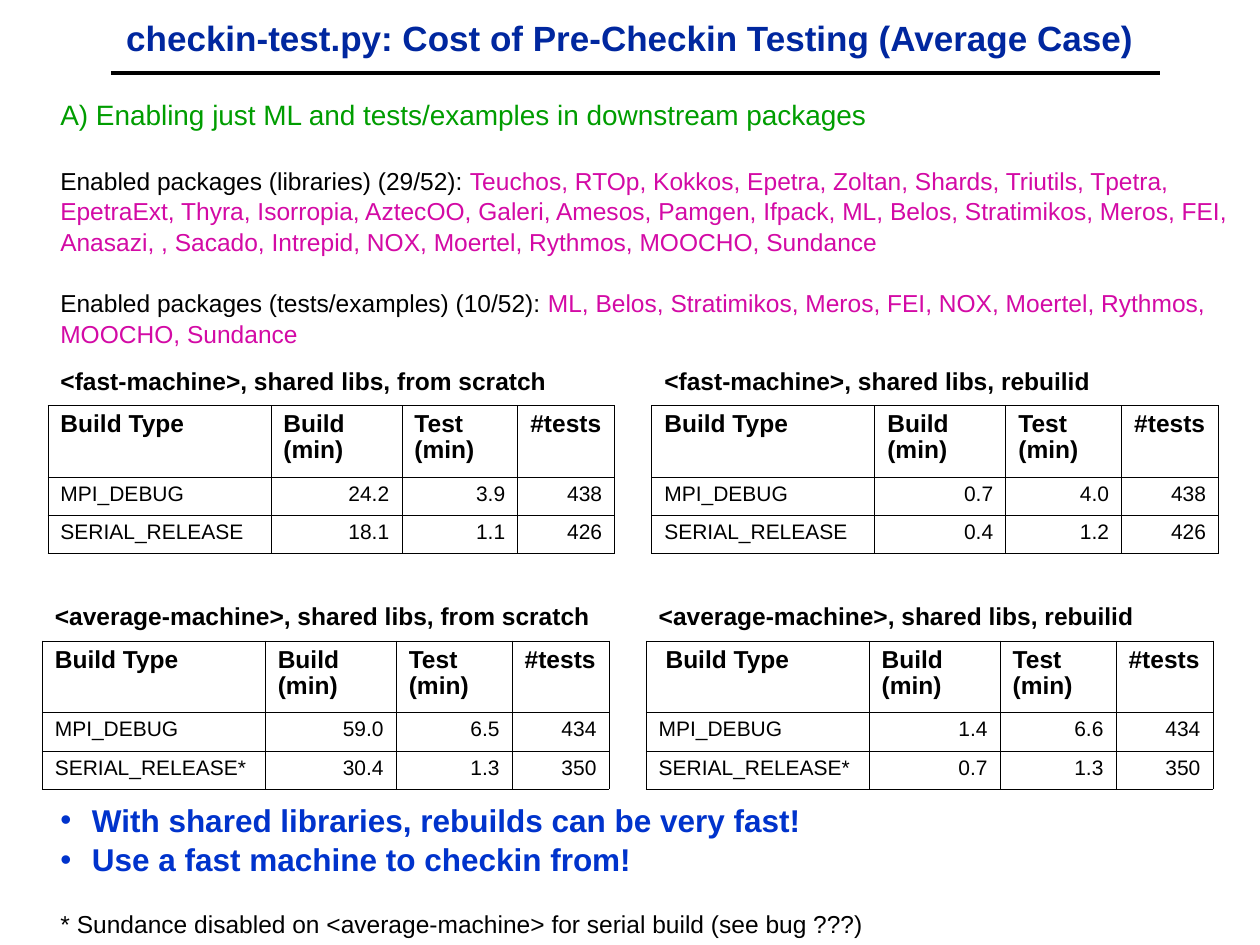
from dataclasses import dataclass

from lxml import etree
from pptx import Presentation
from pptx.dml.color import RGBColor
from pptx.enum.shapes import MSO_CONNECTOR
from pptx.enum.text import MSO_ANCHOR, MSO_AUTO_SIZE, PP_ALIGN
from pptx.oxml.ns import qn
from pptx.util import Emu, Inches, Pt

LEFT, CENTER, RIGHT = PP_ALIGN.LEFT, PP_ALIGN.CENTER, PP_ALIGN.RIGHT
TOP, MIDDLE = MSO_ANCHOR.TOP, MSO_ANCHOR.MIDDLE
NO_AUTOFIT = MSO_AUTO_SIZE.NONE
STRAIGHT = MSO_CONNECTOR.STRAIGHT

FONT = "Arial"
COLORS = {
    "title": "00279F",
    "case": "009D00",
    "packages": "D30AA5",
    "bullet": "0033CC",
    "text": "000000",
    "paper": "FFFFFF",
}
PAGE_WIDTH, PAGE_HEIGHT = Inches(10), Inches(7.5)
TEXT_SPACING, TABLE_SPACING = 1.05, 0.95

# Percent of the page width or height
COLUMN_WIDTHS = [17.7, 10.4, 9.2, 7.7]
ROW_HEIGHTS = [4.5, 7.6, 4.04, 4.04]
TABLE_GAP = 47.93
FAST_LEFT, FAST_TOP = 3.8, 38.4
AVERAGE_LEFT, AVERAGE_TOP = 3.35, 63.33
TEXT_LEFT = 3.8

HEADINGS = ["Build Type", "Build (min)", "Test (min)", "#tests"]


@dataclass
class Timing:
    caption: str
    left: float
    top: float
    rows: list[list[str]]
    first_heading: str = HEADINGS[0]


@dataclass
class Line:
    spans: list[tuple[str, str]]
    size: int
    bold: bool = False
    bulleted: bool = False
    space_before: float = 0


TIMINGS = [
    Timing("<fast-machine>, shared libs, from scratch", FAST_LEFT, FAST_TOP,
           [["MPI_DEBUG", "24.2", "3.9", "438"],
            ["SERIAL_RELEASE", "18.1", "1.1", "426"]]),
    Timing("<fast-machine>, shared libs, rebuilid", FAST_LEFT + TABLE_GAP, FAST_TOP,
           [["MPI_DEBUG", "0.7", "4.0", "438"],
            ["SERIAL_RELEASE", "0.4", "1.2", "426"]]),
    Timing("<average-machine>, shared libs, from scratch", AVERAGE_LEFT, AVERAGE_TOP,
           [["MPI_DEBUG", "59.0", "6.5", "434"],
            ["SERIAL_RELEASE*", "30.4", "1.3", "350"]]),
    Timing("<average-machine>, shared libs, rebuilid", AVERAGE_LEFT + TABLE_GAP, AVERAGE_TOP,
           [["MPI_DEBUG", "1.4", "6.6", "434"],
            ["SERIAL_RELEASE*", "0.7", "1.3", "350"]],
           first_heading=" Build Type"),
]
INTRO = [
    Line([("A) Enabling just ML and tests/examples in downstream packages", "case")], 16),
    Line([("Enabled packages (libraries) (29/52): ", "text"),
          ("Teuchos, RTOp, Kokkos, Epetra, Zoltan, Shards, Triutils, Tpetra, EpetraExt, "
           "Thyra, Isorropia, AztecOO, Galeri, Amesos, Pamgen, Ifpack, ML, Belos, "
           "Stratimikos, Meros, FEI, Anasazi, , Sacado, Intrepid, NOX, Moertel, Rythmos, "
           "MOOCHO, Sundance", "packages")], 14, space_before=19),
    Line([("Enabled packages (tests/examples) (10/52): ", "text"),
          ("ML, Belos, Stratimikos, Meros, FEI, NOX, Moertel, Rythmos, MOOCHO, Sundance",
           "packages")], 14, space_before=17),
]
CONCLUSIONS = [
    Line([("With shared libraries, rebuilds can be very fast!", "bullet")], 18, True, True),
    Line([("Use a fast machine to checkin from!", "bullet")], 18, True, True),
    Line([("* Sundance disabled on <average-machine> for serial build (see bug ???)", "text")],
         14, space_before=17),
]


def across(percent: float) -> Emu:
    return Emu(round(PAGE_WIDTH * percent / 100))


def down(percent: float) -> Emu:
    return Emu(round(PAGE_HEIGHT * percent / 100))


def color(name: str) -> RGBColor:
    return RGBColor.from_string(COLORS[name])


def place(shape, left: float, top: float, width: float, height: float) -> None:
    shape.left, shape.top = across(left), down(top)
    shape.width, shape.height = across(width), down(height)


def set_bullet(para, bulleted: bool) -> None:
    props = para._p.get_or_add_pPr()
    hanging = Inches(0.25) if bulleted else 0
    props.set("marL", str(hanging))
    props.set("indent", str(-hanging))
    if bulleted:
        etree.SubElement(props, qn("a:buChar"), char="•")
    else:
        etree.SubElement(props, qn("a:buNone"))


def write_lines(frame, lines: list[Line], anchor=TOP, align=LEFT) -> None:
    frame.word_wrap = True
    frame.auto_size = NO_AUTOFIT
    frame.vertical_anchor = anchor
    for index, line in enumerate(lines):
        para = frame.add_paragraph() if index else frame.paragraphs[0]
        para.alignment = align
        para.line_spacing = TEXT_SPACING
        para.space_before, para.space_after = Pt(line.space_before), Pt(0)
        para.font.name, para.font.size, para.font.bold = FONT, Pt(line.size), line.bold
        set_bullet(para, line.bulleted)
        for text, color_name in line.spans:
            span = para.add_run()
            span.text = text
            span.font.color.rgb = color(color_name)


def set_borders(cell, visible_sides: str) -> None:
    """Rule the named sides (from "LRTB") and clear the others."""
    props = cell._tc.get_or_add_tcPr()
    for side in "LRTB":
        border = etree.SubElement(props, qn(f"a:ln{side}"), w=str(Pt(0.45)))
        if side in visible_sides:
            fill = etree.SubElement(border, qn("a:solidFill"))
            etree.SubElement(fill, qn("a:srgbClr"), val=COLORS["text"])
        else:
            etree.SubElement(border, qn("a:noFill"))


def add_timing(page, timing: Timing) -> None:
    rows = [[timing.caption, "", "", ""], [timing.first_heading, *HEADINGS[1:]], *timing.rows]
    table = page.shapes.add_table(
        len(rows), len(HEADINGS), across(timing.left), down(timing.top),
        across(sum(COLUMN_WIDTHS)), down(sum(ROW_HEIGHTS))).table
    table.first_row = table.horz_banding = False
    for column, width in zip(table.columns, COLUMN_WIDTHS):
        column.width = across(width)
    for row, height in zip(table.rows, ROW_HEIGHTS):
        row.height = down(height)
    for row, texts in enumerate(rows):
        is_data = row > 1
        for column, text in enumerate(texts):
            cell = table.cell(row, column)
            set_borders(cell, "LRTB" if row else "B")
            cell.fill.solid()
            cell.fill.fore_color.rgb = color("paper")
            cell.text = text
            para = cell.text_frame.paragraphs[0]
            para.alignment = RIGHT if is_data and column else LEFT
            para.line_spacing = TABLE_SPACING
            para.font.name, para.font.size = FONT, Pt(12 if is_data else 14)
            para.font.bold = not is_data
            para.font.color.rgb = color("text")
    table.cell(0, 0).merge(table.cell(0, len(HEADINGS) - 1))


def add_title_rule(page) -> None:
    rule = page.shapes.add_connector(
        STRAIGHT, across(8.8), down(7.75), across(92.1), down(7.75))
    rule.line.color.rgb = color("text")
    rule.line.width = Pt(2)
    etree.SubElement(rule._element.spPr, qn("a:effectLst"))


def main() -> None:
    deck = Presentation()
    deck.slide_width, deck.slide_height = PAGE_WIDTH, PAGE_HEIGHT
    page = deck.slides.add_slide(deck.slide_layouts[1])
    title, body = page.placeholders

    place(title, 7.5, 1.07, 85, 5.6)
    heading = "checkin-test.py: Cost of Pre-Checkin Testing (Average Case)"
    write_lines(title.text_frame, [Line([(heading, "title")], 20, True)], MIDDLE, CENTER)
    add_title_rule(page)

    intro = page.shapes.add_textbox(0, 0, 0, 0)
    place(intro, TEXT_LEFT, 9.47, 96.2, 30.27)
    write_lines(intro.text_frame, INTRO)

    for timing in TIMINGS:
        add_timing(page, timing)

    place(body, TEXT_LEFT, 83.87, 70.8, 15.6)
    write_lines(body.text_frame, CONCLUSIONS)
    deck.save("out.pptx")


if __name__ == "__main__":
    main()
